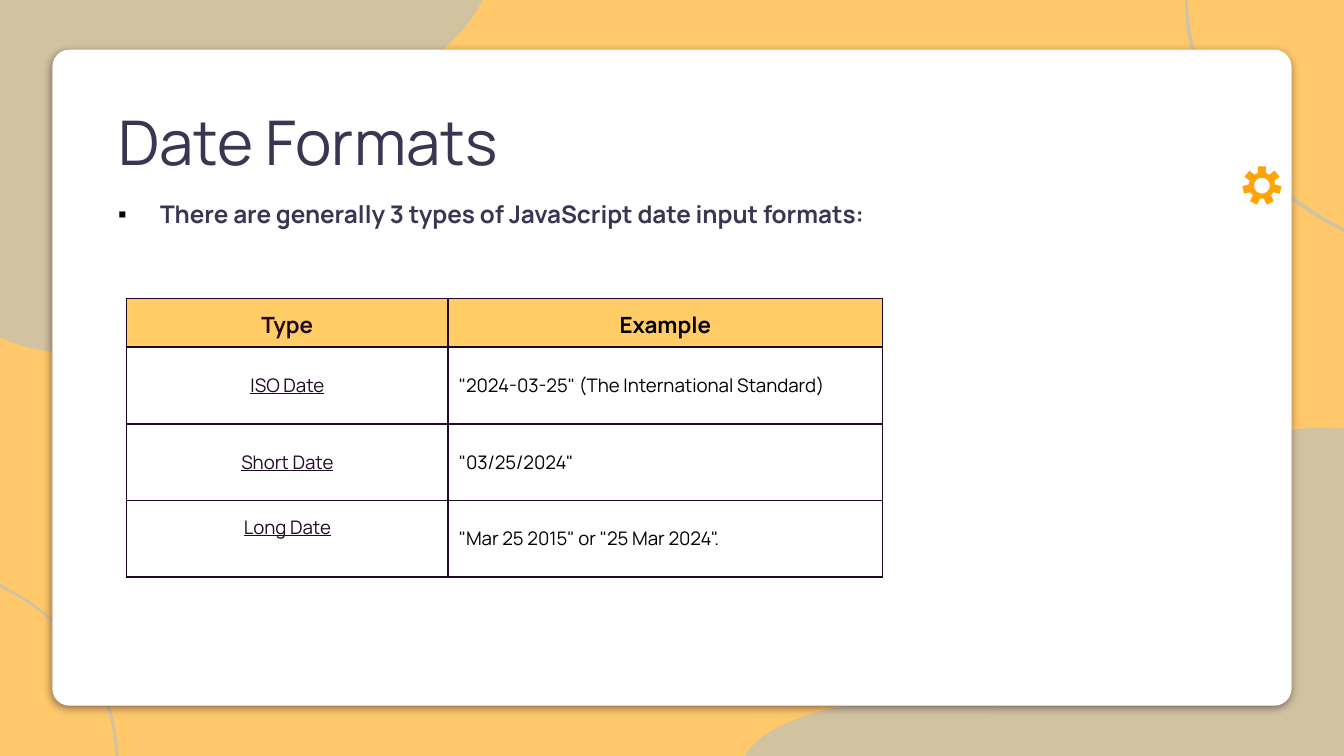
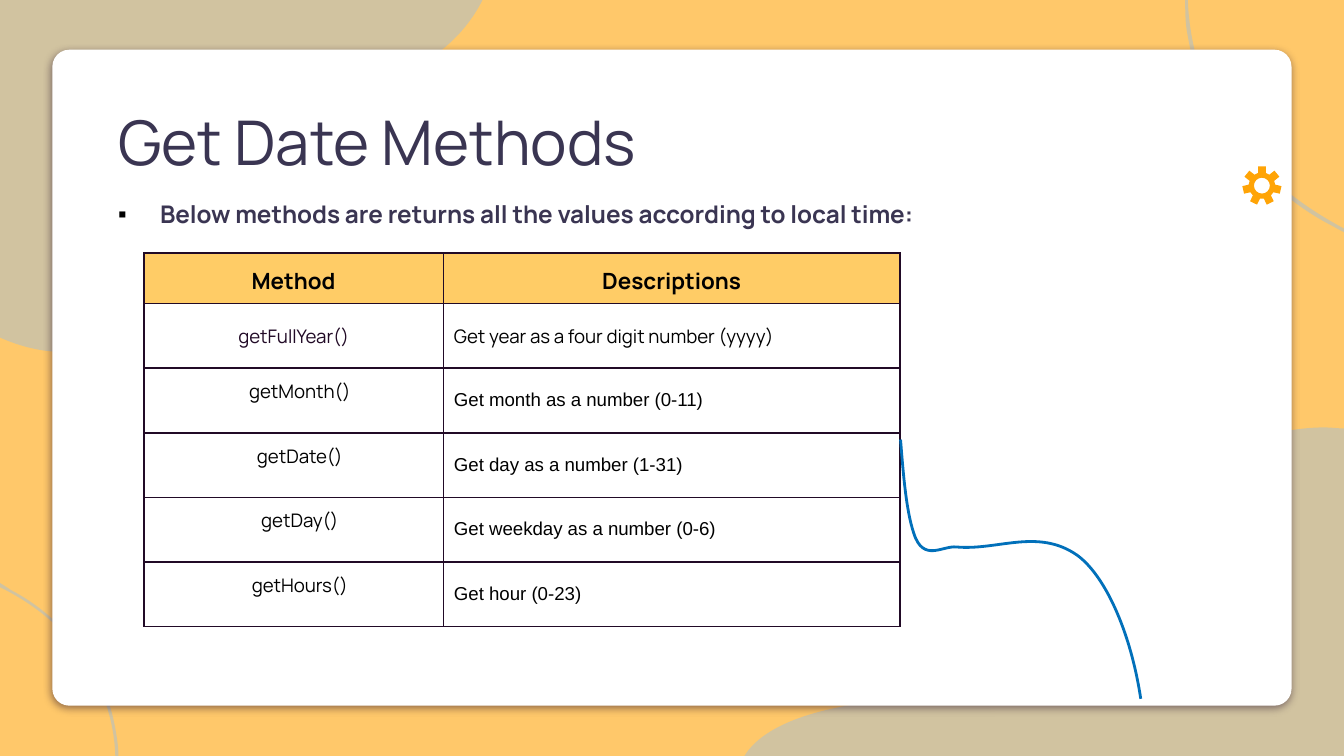
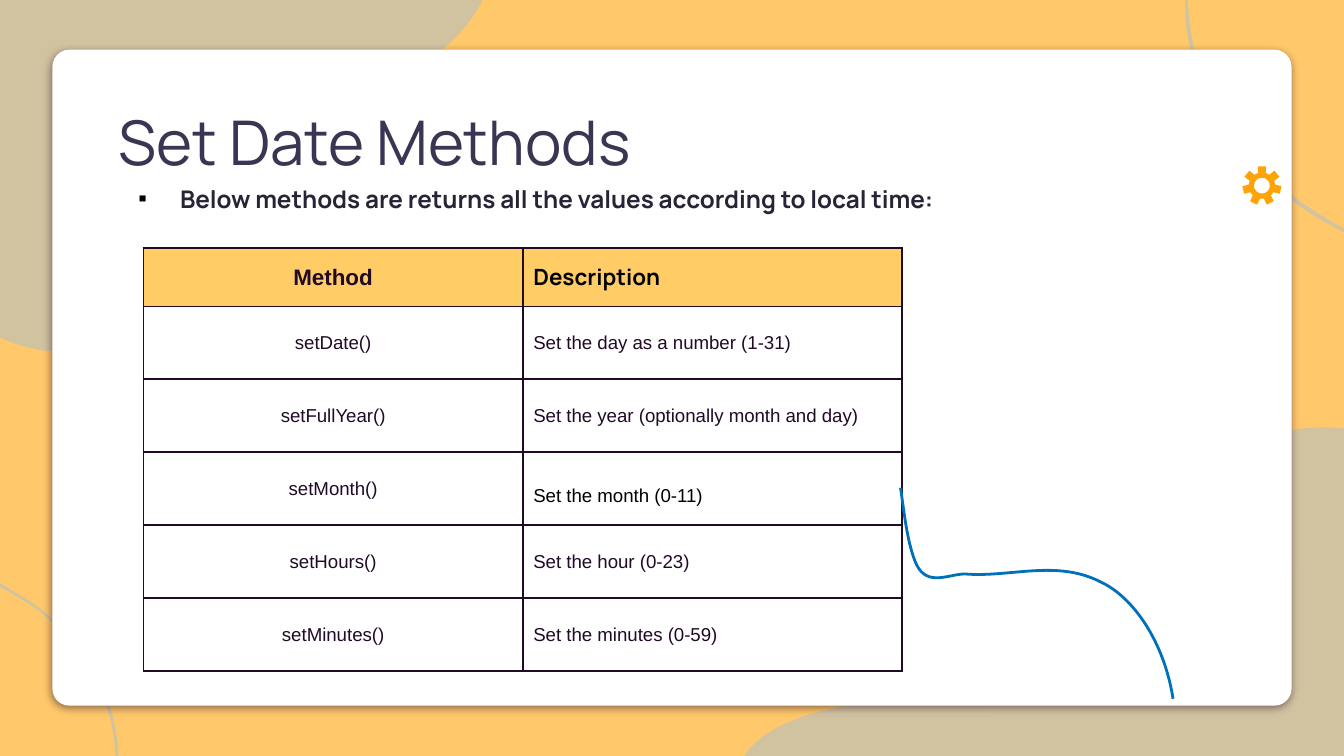
from dataclasses import dataclass
from math import cos, pi, sin

from lxml.etree import SubElement
from pptx import Presentation
from pptx.dml.color import RGBColor
from pptx.enum.shapes import MSO_SHAPE
from pptx.enum.text import MSO_ANCHOR, MSO_AUTO_SIZE, PP_ALIGN
from pptx.oxml.ns import qn
from pptx.util import Cm, Pt

# Shared style
FONT, PLAIN_FONT = "Manrope", "Arial"
AMBER, MIST, WHITE, BLACK = "FFC86A", "A0BFDB", "FFFFFF", "000000"
INK, TITLE_COLOR, DARK_TEXT = "210A26", "3A3552", "272436"
HEADER_FILL, GEAR_COLOR, CURVE_COLOR = "FFCC66", "FFA406", "0170BA"

# Outlines in centimetres: a start point, then lines (2 numbers) or curves (6)
BACKGROUND_OUTLINES = [
    [(22.45, 0), (22.48, 0.91, 22.78, 1.85, 23.32, 2.59),
     (23.88, 3.33, 24.59, 3.89, 25.4, 4.32), (25.4, 4.39),
     (25.3, 4.34, 25.22, 4.29, 25.12, 4.24),
     (24.46, 3.89, 23.88, 3.38, 23.39, 2.79),
     (22.91, 2.18, 22.58, 1.45, 22.45, 0.69),
     (22.4, 0.46, 22.4, 0.23, 22.4, 0)],
    [(1.14, 6.65), (0.56, 6.65, 0, 6.38, 0, 6.38), (0, 0), (9.12, 0),
     (7.95, 2.31, 4.34, 1.85, 2.84, 2.31),
     (1.35, 2.77, 3, 4.98, 2.18, 6.15),
     (1.9, 6.55, 1.52, 6.65, 1.14, 6.65)],
    [(14.07, 14.29), (14.48, 13.61, 15.85, 13.18, 18.08, 13.18),
     (18.16, 13.18, 18.24, 13.18, 18.34, 13.18),
     (18.36, 13.18, 18.39, 13.18, 18.42, 13.18),
     (21.77, 13.18, 20.35, 10.24, 22.83, 8.69),
     (23.5, 8.28, 24.38, 8.08, 25.02, 8.08),
     (25.17, 8.08, 25.3, 8.1, 25.4, 8.1), (25.4, 14.29)],
    [(2.18, 14.29), (2.16, 13.61, 1.93, 12.93, 1.52, 12.37),
     (1.14, 11.81, 0.61, 11.4, 0, 11.1), (0, 11.02),
     (0.08, 11.07, 0.13, 11.1, 0.2, 11.15),
     (0.69, 11.4, 1.14, 11.79, 1.5, 12.22),
     (1.85, 12.67, 2.08, 13.21, 2.18, 13.77),
     (2.21, 13.94, 2.24, 14.12, 2.24, 14.29)],
]
GET_CURVE = [(17.02, 8.31), (17.07, 8.92, 17.12, 9.63, 17.27, 10.08),
             (17.45, 10.64, 17.81, 10.31, 18.08, 10.34),
             (18.85, 10.41, 19.61, 9.98, 20.35, 10.49),
             (20.86, 10.85, 21.36, 11.89, 21.56, 13.21)]
SET_CURVE = [(17.02, 9.22), (17.09, 9.7, 17.15, 10.29, 17.32, 10.67),
             (17.53, 11.1, 17.93, 10.85, 18.24, 10.85),
             (19.1, 10.92, 19.96, 10.57, 20.8, 11),
             (21.41, 11.28, 22, 12.12, 22.17, 13.21)]


@dataclass
class TableCell:
    text: str
    font: str = FONT
    color: str = BLACK
    underline: bool = False
    centered: bool = False
    anchor: MSO_ANCHOR = MSO_ANCHOR.MIDDLE
    margins: tuple = (0.2, 0.3, 0.2, 0.3)


def rgb(color):
    return RGBColor.from_string(color)


class Deck:
    def __init__(self):
        self.presentation = Presentation()
        self.presentation.slide_width = Cm(25.4)
        self.presentation.slide_height = Cm(14.29)
        self.slide = None

    def new_slide(self, title):
        self.slide = self.presentation.slides.add_slide(self.presentation.slide_layouts[1])
        self.slide.background.fill.solid()
        self.slide.background.fill.fore_color.rgb = rgb(AMBER)
        for outline in BACKGROUND_OUTLINES:
            blob = self.freeform([outline], fill=MIST)
            color = blob.element.spPr.find(".//" + qn("a:srgbClr"))
            SubElement(color, qn("a:alpha"), val="48000")
        self.panel()
        self.gear()
        self.title(title)

    def style_run(self, run, size, color, font=FONT, bold=False):
        run.font.name = font
        run.font.size = Pt(size)
        run.font.bold = bold
        run.font.color.rgb = rgb(color)

    def freeform(self, outlines, fill=None, line=None):
        """Draw outlines as one shape; a closed one has a fill."""
        outlines = [[tuple(map(Cm, segment)) for segment in outline] for outline in outlines]
        builder = self.slide.shapes.build_freeform(*outlines[0][0])
        for index, outline in enumerate(outlines):
            if index:
                builder.move_to(*outline[0])
            builder.add_line_segments([segment[-2:] for segment in outline[1:]],
                                      close=fill is not None)
        shape = builder.convert_to_shape()
        self.bend(shape, [segment for outline in outlines for segment in outline[1:]])
        shape.shadow.inherit = False
        if fill:
            shape.fill.solid()
            shape.fill.fore_color.rgb = rgb(fill)
        else:
            shape.fill.background()
        if line:
            shape.line.color.rgb = rgb(line)
            shape.line.width = Pt(1.5)
        else:
            shape.line.fill.background()
        return shape

    def bend(self, shape, segments):
        """Turn the straight parts that have control points into curves."""
        straight_parts = list(shape.element.spPr.iter(qn("a:lnTo")))
        for part, segment in zip(straight_parts, segments):
            if len(segment) == 2:
                continue
            curve = SubElement(part.getparent(), qn("a:cubicBezTo"))
            for x, y in zip(segment[::2], segment[1::2]):
                SubElement(curve, qn("a:pt"), x=str(x - shape.left), y=str(y - shape.top))
            part.getparent().replace(part, curve)

    def panel(self):
        panel = self.slide.shapes.add_shape(
            MSO_SHAPE.ROUNDED_RECTANGLE, Cm(0.99), Cm(0.94), Cm(23.42), Cm(12.4))
        panel.adjustments[0] = 0.026
        panel.fill.solid()
        panel.fill.fore_color.rgb = rgb(WHITE)
        panel.line.fill.background()
        panel.shadow.inherit = False
        effects = panel.element.spPr.find(qn("a:effectLst"))
        shadow = SubElement(effects, qn("a:outerShdw"), blurRad=str(Pt(4.5)),
                            dist=str(Pt(1.5)), dir="5400000", algn="bl", rotWithShape="0")
        color = SubElement(shadow, qn("a:srgbClr"), val=INK)
        SubElement(color, qn("a:alpha"), val="50000")

    def gear(self, teeth=7, x=23.85, y=3.51, hole=0.15):
        def point(radius, angle):
            return x + radius * sin(angle), y + radius * cos(angle)

        tooth = [(0.25, -0.3), (0.37, -0.2), (0.37, 0.2), (0.25, 0.3)]
        rim = [point(radius, pi + 2 * pi * index / teeth + offset)
               for index in range(teeth) for radius, offset in tooth]
        # Four quarter arcs; 0.55 is the usual control distance for a circle
        circle = [(x, y - hole)]
        for quarter in range(4):
            angle = quarter * pi / 2
            across, down = sin(angle), -cos(angle)
            circle.append((x + hole * (across - 0.55 * down), y + hole * (down + 0.55 * across),
                           x + hole * (0.55 * across - down), y + hole * (0.55 * down + across),
                           x - hole * down, y + hole * across))
        self.freeform([circle, rim], fill=GEAR_COLOR)

    def place(self, placeholder, left, top, width, height, text):
        """Move a placeholder to the front, size it and fill in its text."""
        self.slide.shapes.element.append(placeholder.element)
        placeholder.left, placeholder.top = Cm(left), Cm(top)
        placeholder.width, placeholder.height = Cm(width), Cm(height)
        frame = placeholder.text_frame
        frame.text = text
        frame.word_wrap = True
        frame.auto_size = MSO_AUTO_SIZE.NONE
        frame.vertical_anchor = MSO_ANCHOR.MIDDLE
        paragraph = frame.paragraphs[0]
        paragraph.alignment = PP_ALIGN.LEFT
        paragraph.space_before = Pt(0)
        return paragraph

    def title(self, text):
        placeholder = self.slide.shapes.title
        paragraph = self.place(placeholder, 1.98, 1.56, 19, 1.98, text)
        frame = placeholder.text_frame
        frame.margin_top = frame.margin_bottom = Cm(0.25)
        paragraph.line_spacing = 1.15
        self.style_run(paragraph.runs[0], 33, TITLE_COLOR)

    def bullet(self, text, left=1.98, top=3.4, width=19.74, height=1.02,
               spacing=1.5, color=TITLE_COLOR):
        paragraph = self.place(self.slide.placeholders[1], left, top, width, height, text)
        paragraph.line_spacing = spacing
        self.style_run(paragraph.runs[0], 13, color, bold=True)
        properties = paragraph._p.get_or_add_pPr()
        properties.set("marL", str(Cm(0.79)))
        properties.set("indent", str(Cm(-0.79)))
        bullet_color = SubElement(properties, qn("a:buClr"))
        SubElement(bullet_color, qn("a:srgbClr"), val=BLACK)
        SubElement(properties, qn("a:buChar"), char="▪")

    def table(self, left, top, widths, header_height, row_height, rows):
        heights = [header_height] + [row_height] * (len(rows) - 1)
        table = self.slide.shapes.add_table(
            len(rows), len(widths), Cm(left), Cm(top),
            Cm(sum(widths)), Cm(sum(heights))).table
        table.first_row = table.horz_banding = False
        for column, width in zip(table.columns, widths):
            column.width = Cm(width)
        for row, height in zip(table.rows, heights):
            row.height = Cm(height)
        for row_index, row in enumerate(rows):
            for column_index, content in enumerate(row):
                self.table_cell(table.cell(row_index, column_index), content,
                                header=row_index == 0,
                                centered=column_index == 0 or content.centered)

    def table_cell(self, cell, content, header, centered):
        cell.text_frame.text = content.text
        cell.vertical_anchor = content.anchor
        (cell.margin_left, cell.margin_top,
         cell.margin_right, cell.margin_bottom) = map(Cm, content.margins)
        paragraph = cell.text_frame.paragraphs[0]
        paragraph.alignment = PP_ALIGN.CENTER if centered else PP_ALIGN.LEFT
        run = paragraph.runs[0]
        self.style_run(run, 12 if header else 10, content.color, content.font, bold=header)
        run.font.underline = content.underline
        # Borders come before the fill in the cell properties
        properties = cell._tc.get_or_add_tcPr()
        for side in ("a:lnL", "a:lnR", "a:lnT", "a:lnB"):
            border = SubElement(properties, qn(side), w=str(Pt(1)))
            SubElement(SubElement(border, qn("a:solidFill")), qn("a:srgbClr"), val=INK)
        cell.fill.solid()
        cell.fill.fore_color.rgb = rgb(HEADER_FILL if header else WHITE)


def header_row(first, second, first_color=BLACK):
    return [TableCell(first, color=first_color, margins=(0.08, 0.2, 0.08, 0.12)),
            TableCell(second, centered=True, margins=(0.2, 0.2, 0.2, 0.12))]


def main():
    deck = Deck()
    local_time = "Below methods are returns all the values according to local time:"

    # Date formats
    deck.new_slide("Date Formats")
    deck.bullet("There are generally 3 types of JavaScript date input formats:")
    formats = [("ISO Date", '"2024-03-25" (The International Standard)'),
               ("Short Date", '"03/25/2024"'),
               ("Long Date", '"Mar 25 2015" or "25 Mar 2024".')]
    rows = [[TableCell(name, color=INK, underline=True), TableCell(example)]
            for name, example in formats]
    long_date = rows[-1][0]
    long_date.anchor, long_date.margins = MSO_ANCHOR.TOP, (0.2, 0.27, 0.2, 0.3)
    deck.table(2.39, 5.64, [6.08, 8.21], 0.92, 1.45,
               [header_row("Type", "Example", INK)] + rows)

    # Get methods
    deck.new_slide("Get Date Methods")
    deck.bullet(local_time)
    getters = [("getMonth()", "Get month as a number (0-11)"),
               ("getDate()", "Get day as a number (1-31)"),
               ("getDay()", "Get weekday as a number (0-6)"),
               ("getHours()", "Get hour (0-23)")]
    rows = [header_row("Method", "Descriptions"),
            [TableCell("getFullYear()", color=INK),
             TableCell("Get year as a four digit number (yyyy)")]]
    rows += [[TableCell(method, anchor=MSO_ANCHOR.TOP, margins=(0.43, 0.2, 0.2, 0.2)),
              TableCell(description, font=PLAIN_FONT)]
             for method, description in getters]
    deck.table(2.72, 4.78, [5.66, 8.63], 0.96, 1.22, rows)
    deck.freeform([GET_CURVE], line=CURVE_COLOR)

    # Set methods
    deck.new_slide("Set Date Methods")
    setters = [("setDate()", "Set the day as a number (1-31)"),
               ("setFullYear()", "Set the year (optionally month and day)"),
               ("setMonth()", "Set the month (0-11)"),
               ("setHours()", "Set the hour (0-23)"),
               ("setMinutes()", "Set the minutes (0-59)")]
    header_margins = (0.2, 0.25, 0.2, 0.25)
    rows = [[TableCell("Method", font=PLAIN_FONT, color=INK, margins=header_margins),
             TableCell("Description", margins=header_margins)]]
    rows += [[TableCell(text, font=PLAIN_FONT, color=INK) for text in setter]
             for setter in setters]
    month = rows[3][1]
    month.color, month.margins = BLACK, (0.2, 0.46, 0.2, 0.2)
    deck.table(2.71, 4.69, [7.17, 7.17], 1.1, 1.38, rows)
    deck.freeform([SET_CURVE], line=CURVE_COLOR)
    deck.bullet(local_time, left=2.36, top=3.35, width=18.92, height=0.81,
                spacing=1, color=DARK_TEXT)

    deck.presentation.save("out.pptx")


if __name__ == "__main__":
    main()
